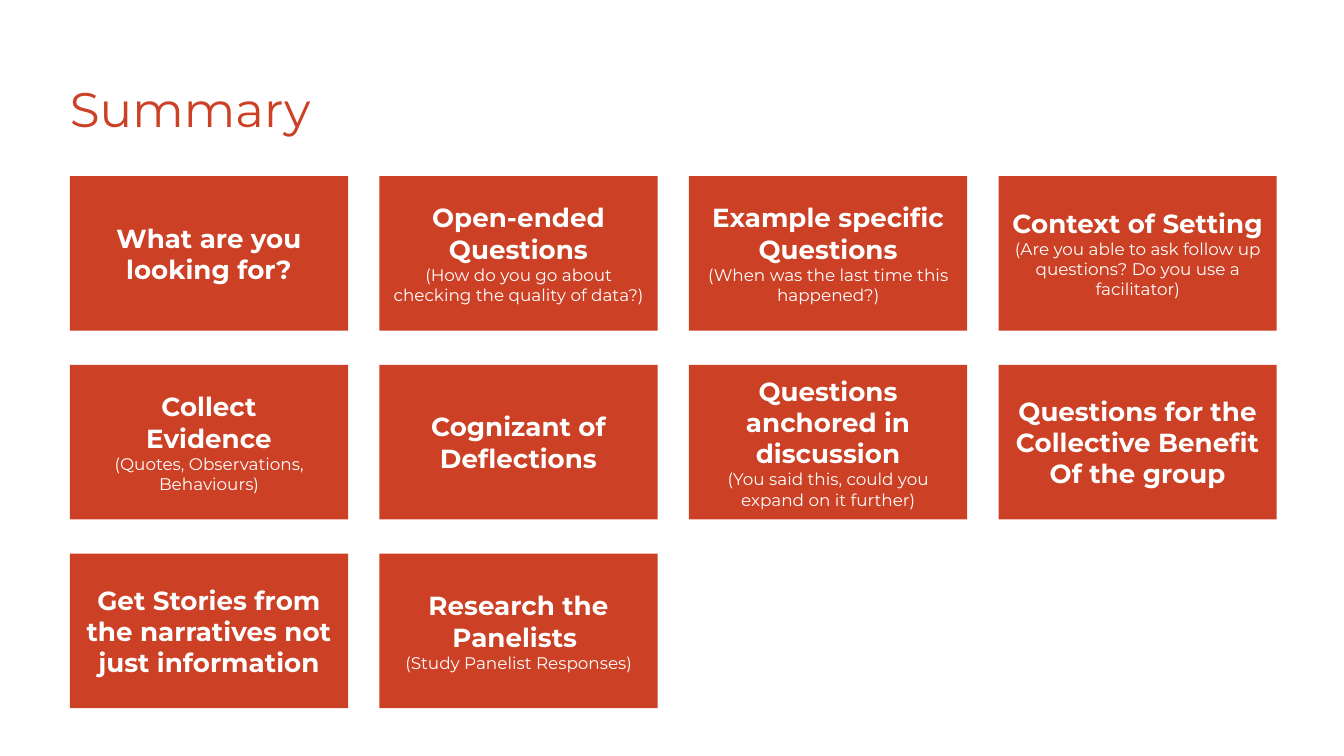
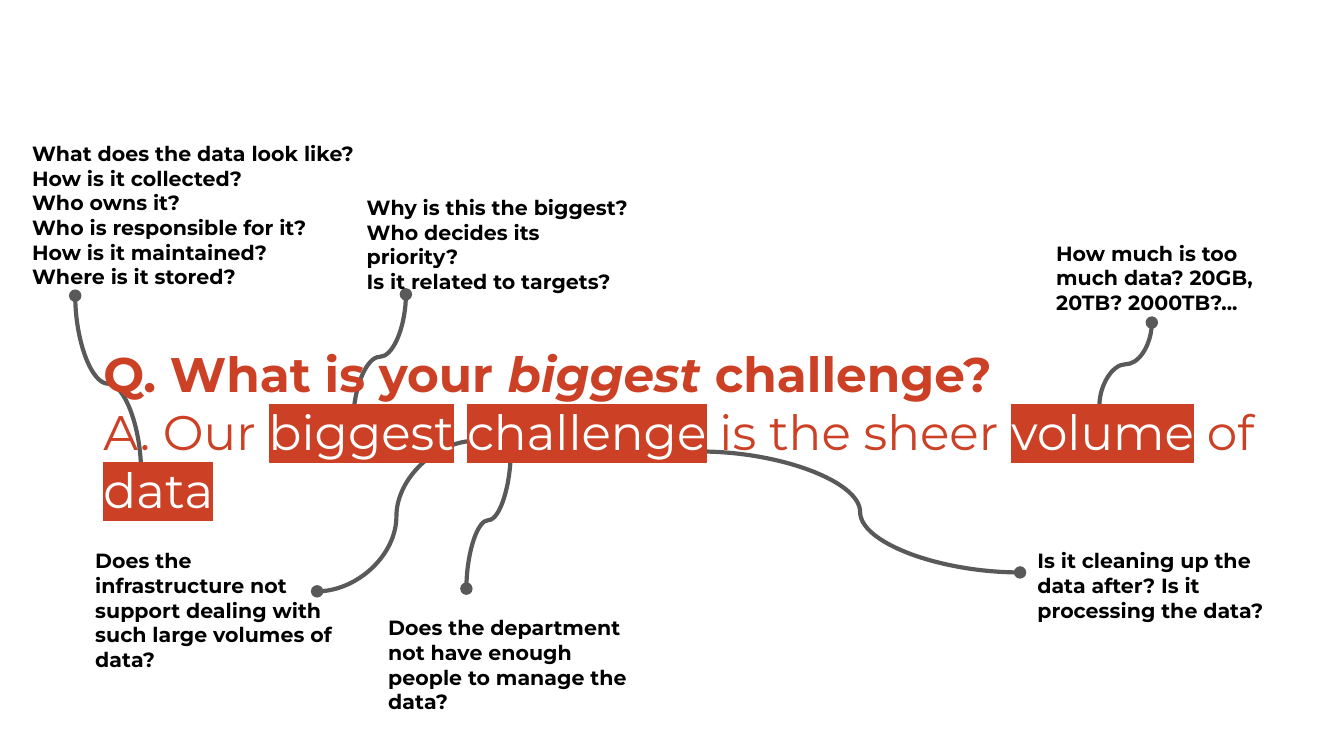
from lxml.etree import SubElement
from pptx import Presentation
from pptx.dml.color import RGBColor
from pptx.enum.shapes import MSO_CONNECTOR, MSO_SHAPE
from pptx.enum.text import MSO_ANCHOR, MSO_AUTO_SIZE, PP_ALIGN
from pptx.oxml.ns import qn
from pptx.util import Inches, Pt

COLORS = {"accent": "CC4125", "white": "FFFFFF", "black": "000000", "line": "595959"}
FONT = "Montserrat"
TITLE_SIZE, CARD_SIZE, DETAIL_SIZE, NOTE_SIZE = 26, 14, 9, 11
TITLE_WIDTH = 9.32


def add_run(paragraph, text, size, color, bold=False, italic=False, highlight=None):
    run = paragraph.add_run()
    run.text = text
    font = run.font
    font.size, font.bold, font.italic = Pt(size), bold, italic
    font.color.rgb = RGBColor.from_string(COLORS[color])
    if highlight:
        mark = SubElement(run._r.get_or_add_rPr(), qn("a:highlight"))
        SubElement(mark, qn("a:srgbClr"), val=COLORS[highlight])
    font.name = FONT


def fill_text(shape, lines, anchor=MSO_ANCHOR.TOP, align=PP_ALIGN.LEFT):
    """Write one paragraph per line; each line is a list of add_run arguments."""
    frame = shape.text_frame
    frame.word_wrap = True
    frame.auto_size = MSO_AUTO_SIZE.NONE
    frame.vertical_anchor = anchor
    frame.margin_left = frame.margin_right = Inches(0.1)
    frame.margin_top = frame.margin_bottom = Inches(0.1)
    for index, runs in enumerate(lines):
        paragraph = frame.paragraphs[0] if index == 0 else frame.add_paragraph()
        paragraph.alignment = align
        for run in runs:
            add_run(paragraph, *run)


presentation = Presentation()
presentation.slide_width = Inches(10)
presentation.slide_height = Inches(10 * 9 / 16)
title_only = presentation.slide_layouts[5]

# Slide 1: summary cards, each with bold headings and an optional detail
CARDS = [
    (["What are you looking for?"], None),
    (["Open-ended Questions"], "(How do you go about checking the quality of data?)"),
    (["Example specific Questions"], "(When was the last time this happened?)"),
    (["Context of Setting"],
     "(Are you able to ask follow up questions? Do you use a facilitator)"),
    (["Collect", "Evidence"], "(Quotes, Observations, Behaviours)"),
    (["Cognizant of Deflections"], None),
    (["Questions anchored in discussion"],
     "(You said this, could you expand on it further)"),
    (["Questions for the Collective Benefit", "Of the group"], None),
    (["Get Stories from the narratives not just information"], None),
    (["Research the Panelists "], "(Study Panelist Responses)"),
]
COLUMNS, ROWS = 4, 3
GRID_LEFT, GRID_TOP, GRID_RIGHT, GRID_BOTTOM = 0.52, 1.31, 9.5, 5.27
CARD_WIDTH, CARD_HEIGHT = 2.07, 1.15
column_step = (GRID_RIGHT - GRID_LEFT - CARD_WIDTH) / (COLUMNS - 1)
row_step = (GRID_BOTTOM - GRID_TOP - CARD_HEIGHT) / (ROWS - 1)

slide = presentation.slides.add_slide(title_only)
title = slide.shapes.title
title.left, title.top = Inches(0.42), Inches(0.49)
title.width, title.height = Inches(TITLE_WIDTH), Inches(0.63)
fill_text(title, [[("Summary", TITLE_SIZE, "accent")]])

for index, (headings, detail) in enumerate(CARDS):
    row, column = divmod(index, COLUMNS)
    card = slide.shapes.add_shape(
        MSO_SHAPE.RECTANGLE,
        Inches(GRID_LEFT + column * column_step), Inches(GRID_TOP + row * row_step),
        Inches(CARD_WIDTH), Inches(CARD_HEIGHT))
    card.shadow.inherit = False
    card.fill.solid()
    card.fill.fore_color.rgb = RGBColor.from_string(COLORS["accent"])
    card.line.fill.background()
    lines = [[(heading, CARD_SIZE, "white", True)] for heading in headings]
    if detail:
        lines.append([(detail, DETAIL_SIZE, "white")])
    fill_text(card, lines, MSO_ANCHOR.MIDDLE, PP_ALIGN.CENTER)

# Slide 2: an answer whose key words lead to follow-up questions
# Each curve: start at the word, end at the note, and whether it leaves vertically
CURVES = [
    ((1.05, 3.51), (0.56, 2.2), True),
    ((2.63, 3.12), (3.02, 2.19), True),
    ((3.8, 3.36), (3.47, 4.38), True),
    ((5.21, 3.36), (7.59, 4.26), False),
    ((3.54, 3.28), (2.36, 4.4), False),
    ((8.18, 3.02), (8.57, 2.4), True),
]
NOTES = [
    (0.61, 3.98, 2.02, 0.76,
     ["Does the infrastructure not support dealing with such large volumes of data?"]),
    (2.79, 4.48, 2.02, 0.76,
     ["Does the department not have enough people to manage the data?"]),
    (7.76, 1.69, 2.02, 0.7, ["How much is too much data? 20GB, 20TB? 2000TB?..."]),
    (7.62, 3.98, 2.02, 0.7,
     ["Is it cleaning up the data after? Is it processing the data?"]),
    (2.63, 1.35, 2.17, 0.7,
     ["Why is this the biggest?", "Who decides its priority?",
      "Is it related to targets?"]),
    (0.14, 0.95, 2.81, 1.19,
     ["What does the data look like?", "How is it collected?", "Who owns it?",
      "Who is responsible for it?", "How is it maintained?", "Where is it stored?"]),
]
QUESTION = [("Q. What is your ", False), ("biggest", True), (" challenge?", False)]
ANSWER = [("A. Our ", False), ("biggest", True), (" ", False), ("challenge", True),
          (" is the sheer ", False), ("volume", True), (" of ", False), ("data", True)]

slide = presentation.slides.add_slide(title_only)
for (x1, y1), (x2, y2), vertical in CURVES:
    turn = 0
    if vertical:
        # The preset leaves sideways, so lay it out flat and turn it about its middle
        turn = 90 if x2 < x1 else 270
        sign = 1 if turn == 90 else -1
        middle_x, middle_y = (x1 + x2) / 2, (y1 + y2) / 2
        half_x, half_y = sign * (y2 - y1) / 2, sign * (x1 - x2) / 2
        x1, x2 = middle_x - half_x, middle_x + half_x
        y1, y2 = middle_y - half_y, middle_y + half_y
    curve = slide.shapes.add_connector(
        MSO_CONNECTOR.CURVE, Inches(x1), Inches(y1), Inches(x2), Inches(y2))
    curve.line.color.rgb = RGBColor.from_string(COLORS["line"])
    curve.line.width = Pt(2.25)
    properties = curve._element.spPr
    if turn:
        properties.find(qn("a:xfrm")).set("rot", str(turn * 60000))
    SubElement(properties.find(qn("a:ln")), qn("a:tailEnd"), type="oval")
    SubElement(properties, qn("a:effectLst"))

title = slide.shapes.title
title.left, title.top = Inches(0.67), Inches(2.46)
title.width, title.height = Inches(TITLE_WIDTH), Inches(1.36)
fill_text(title, [
    [(text, TITLE_SIZE, "accent", True, italic) for text, italic in QUESTION],
    [(text, TITLE_SIZE, "white", False, False, "accent") if marked
     else (text, TITLE_SIZE, "accent") for text, marked in ANSWER],
])
slide.shapes._spTree.append(title._element)  # bring the title in front of the curves

for left, top, width, height, questions in NOTES:
    note = slide.shapes.add_textbox(
        Inches(left), Inches(top), Inches(width), Inches(height))
    fill_text(note, [[(question, NOTE_SIZE, "black", True)] for question in questions])

presentation.save("out.pptx")
